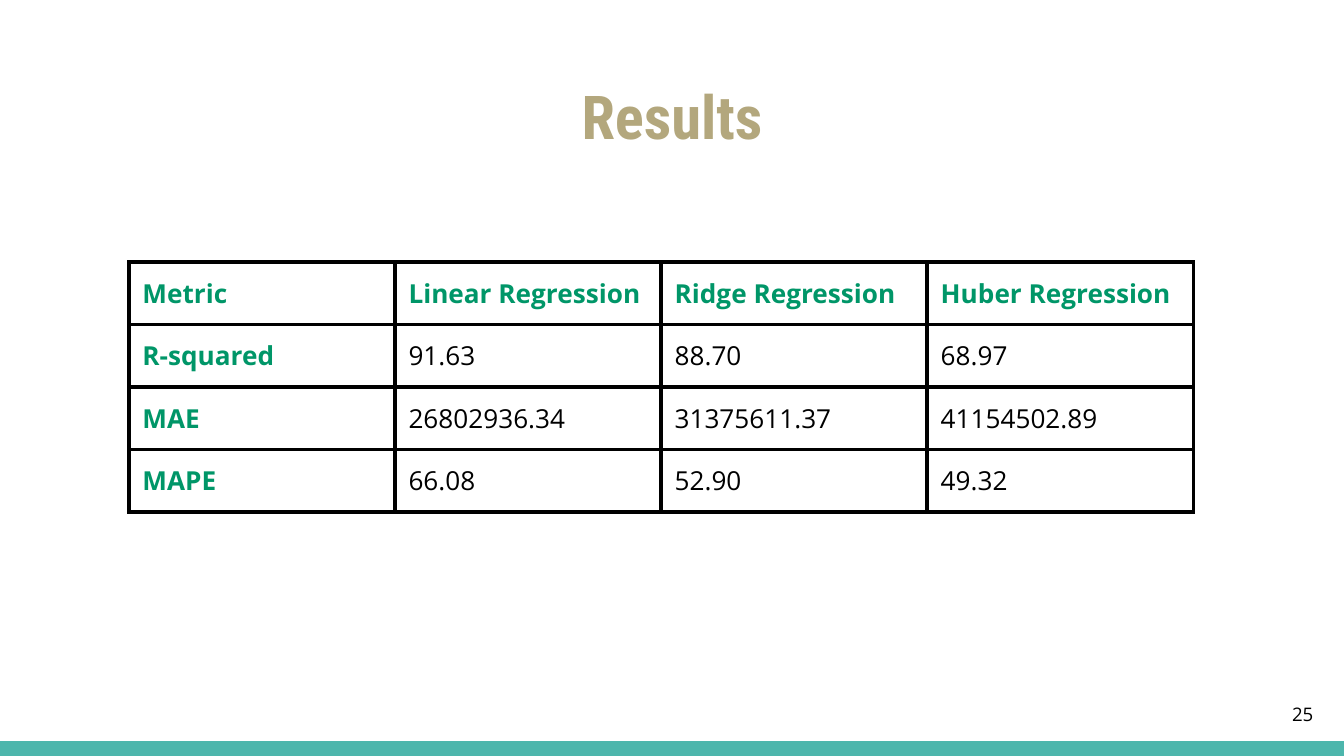
from dataclasses import dataclass

from lxml.etree import SubElement
from pptx import Presentation
from pptx.dml.color import RGBColor
from pptx.enum.shapes import MSO_SHAPE
from pptx.enum.text import MSO_ANCHOR, PP_ALIGN
from pptx.oxml.ns import qn
from pptx.util import Inches, Pt

BLACK = RGBColor(0x00, 0x00, 0x00)
GREEN = RGBColor(0x00, 0x96, 0x68)
SAND = RGBColor(0xB3, 0xA7, 0x7D)
TEAL = RGBColor(0x4D, 0xB6, 0xAC)

SLIDE_WIDTH = Inches(10)
SLIDE_HEIGHT = SLIDE_WIDTH * 9 // 16
BAND_HEIGHT = Inches(0.11)
INSET = Inches(0.1)
COL_WIDTH = Inches(1.98)
TABLE_HEIGHT = Inches(1.86)
BORDER_WIDTH = Pt(2.25)

RESULTS = [
    ["Metric", "Linear Regression", "Ridge Regression", "Huber Regression"],
    ["R-squared", "91.63", "88.70", "68.97"],
    ["MAE", "26802936.34", "31375611.37", "41154502.89"],
    ["MAPE", "66.08", "52.90", "49.32"],
]


@dataclass(frozen=True)
class Style:
    font: str
    size: float
    color: RGBColor
    bold: bool = False


@dataclass(frozen=True)
class Label:
    text: str
    box: tuple[float, float, float, float]
    style: Style
    align: PP_ALIGN
    anchor: MSO_ANCHOR


HEADING = Style("Open Sans", 14, GREEN, True)
VALUE = Style("Open Sans", 14, BLACK)

LABELS = [
    Label("Results", (0.34, 0.49, 9.32, 0.77),
          Style("Roboto Condensed", 32.4, SAND, True),
          PP_ALIGN.CENTER, MSO_ANCHOR.TOP),
    Label("25", (9.27, 5.1, 0.6, 0.43), Style("Open Sans", 10, BLACK),
          PP_ALIGN.RIGHT, MSO_ANCHOR.MIDDLE),
]


def set_text(tf, text: str, style: Style) -> None:
    p = tf.paragraphs[0]
    p.text = text
    p.font.name = style.font
    p.font.size = Pt(style.size)
    p.font.bold = style.bold
    p.font.color.rgb = style.color


def set_insets(target) -> None:
    target.margin_left = target.margin_right = INSET
    target.margin_top = target.margin_bottom = INSET


def add_label(slide, label: Label) -> None:
    sp = slide.shapes.add_textbox(*map(Inches, label.box))
    tf = sp.text_frame
    tf.word_wrap = True
    tf.vertical_anchor = label.anchor
    set_insets(tf)
    set_text(tf, label.text, label.style)
    tf.paragraphs[0].alignment = label.align


def add_borders(cell) -> None:
    tc_pr = cell._tc.get_or_add_tcPr()
    for side in ("lnL", "lnR", "lnT", "lnB"):
        ln = SubElement(tc_pr, qn(f"a:{side}"), w=str(BORDER_WIDTH))
        fill = SubElement(ln, qn("a:solidFill"))
        SubElement(fill, qn("a:srgbClr"), val=str(BLACK))


def add_results_table(slide, rows: list[list[str]]) -> None:
    n_rows, n_cols = len(rows), len(rows[0])
    table = slide.shapes.add_table(
        n_rows, n_cols, Inches(0.96), Inches(1.95),
        COL_WIDTH * n_cols, TABLE_HEIGHT).table
    table.first_row = table.horz_banding = False
    for i, row in enumerate(rows):
        for j, text in enumerate(row):
            cell = table.cell(i, j)
            set_insets(cell)
            set_text(cell.text_frame, text, VALUE if i and j else HEADING)
            add_borders(cell)
            cell.fill.background()


def main() -> None:
    prs = Presentation()
    prs.slide_width, prs.slide_height = SLIDE_WIDTH, SLIDE_HEIGHT
    slide = prs.slides.add_slide(prs.slide_layouts[6])

    # Bottom band
    band = slide.shapes.add_shape(
        MSO_SHAPE.RECTANGLE, 0, SLIDE_HEIGHT - BAND_HEIGHT,
        SLIDE_WIDTH, BAND_HEIGHT)
    band.shadow.inherit = False
    band.fill.solid()
    band.fill.fore_color.rgb = TEAL
    band.line.fill.background()

    # Title and slide number
    for label in LABELS:
        add_label(slide, label)

    # Metrics by model
    add_results_table(slide, RESULTS)

    prs.save("out.pptx")


if __name__ == "__main__":
    main()
